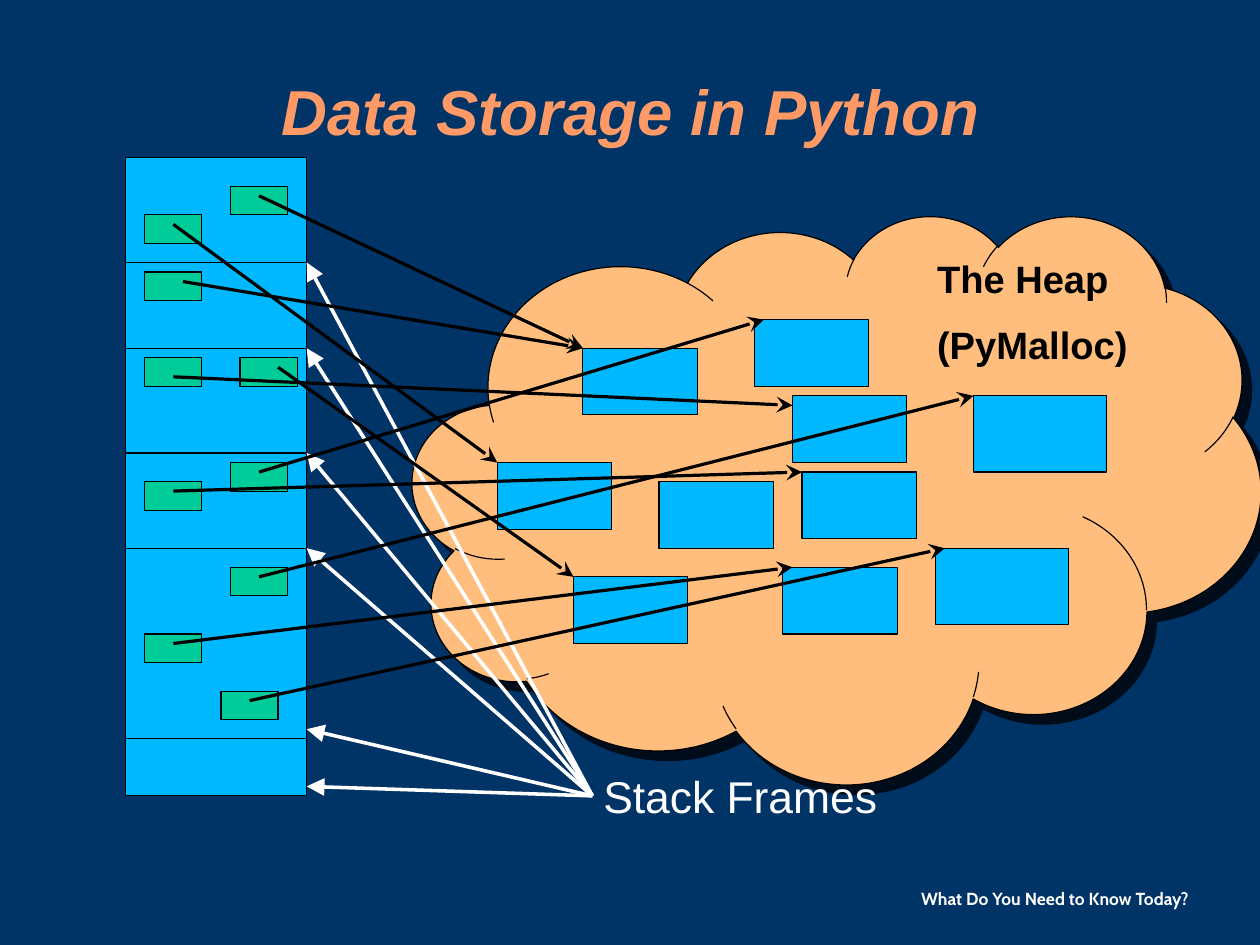
from lxml import etree
from pptx import Presentation
from pptx.dml.color import RGBColor
from pptx.enum.shapes import MSO_CONNECTOR, MSO_SHAPE
from pptx.enum.text import MSO_ANCHOR, MSO_AUTO_SIZE, PP_ALIGN
from pptx.oxml import parse_xml
from pptx.oxml.ns import nsdecls, qn
from pptx.util import Cm, Inches, Pt

NAVY = RGBColor(0x00, 0x33, 0x66)
ORANGE = RGBColor(0xFF, 0x99, 0x66)
PEACH = RGBColor(0xFF, 0xBE, 0x7D)
BLUE = RGBColor(0x00, 0xB8, 0xFF)
GREEN = RGBColor(0x00, 0xCC, 0x99)
BLACK = RGBColor(0x00, 0x00, 0x00)
WHITE = RGBColor(0xFF, 0xFF, 0xFF)

LEFT, TOP = Inches(1.1), Inches(1.38)
CELL = Inches(1) / 12
STACK_W, STACK_H = 19, 67

prs = Presentation()
prs.slide_width, prs.slide_height = Cm(28), Cm(21)
s = prs.slides.add_slide(prs.slide_layouts[6])
s.background.fill.solid()
s.background.fill.fore_color.rgb = NAVY


def add_text(text, x, y, w, h, size, color, font="Arial", bold=False, italic=False,
             align=PP_ALIGN.LEFT, spacing=0.93, before=0, anchor=MSO_ANCHOR.TOP):
    tf = s.shapes.add_textbox(Inches(x), Inches(y), Inches(w), Inches(h)).text_frame
    tf.word_wrap = True
    tf.auto_size = MSO_AUTO_SIZE.NONE
    tf.vertical_anchor = anchor
    for i, line in enumerate(text.split("\n")):
        p = tf.paragraphs[0] if i == 0 else tf.add_paragraph()
        p.alignment, p.line_spacing, p.space_before = align, spacing, Pt(before)
        r = p.add_run()
        r.text = line
        r.font.name, r.font.size, r.font.color.rgb = font, Pt(size), color
        r.font.bold, r.font.italic = bold, italic


def add_line(start, end, color, width, head=None):
    (x1, y1), (x2, y2) = [(int(LEFT + x * CELL), int(TOP + y * CELL)) for x, y in (start, end)]
    sp = s.shapes.add_connector(MSO_CONNECTOR.STRAIGHT, x1, y1, x2, y2)
    sp.line.color.rgb, sp.line.width = color, Pt(width)
    props = sp.element.spPr
    if head:
        etree.SubElement(props.find(qn("a:ln")), qn("a:tailEnd"), type=head, w="lg", len="lg")
    etree.SubElement(props, qn("a:effectLst"))


add_text("What Do You Need to Know Today?", 7.18, 7.69, 3.32, 0.31, 11, WHITE,
         font="Cabin", bold=True, align=PP_ALIGN.RIGHT, spacing=1.15)
add_text("Data Storage in Python", 0.81, 0.31, 9.41, 1.38, 40, ORANGE, bold=True,
         italic=True, align=PP_ALIGN.CENTER, anchor=MSO_ANCHOR.MIDDLE)

cloud = s.shapes.add_shape(MSO_SHAPE.CLOUD, Inches(3.61), Inches(1.88), Inches(7.42), Inches(4.97))
cloud.fill.solid()
cloud.fill.fore_color.rgb = PEACH
cloud.line.color.rgb, cloud.line.width = BLACK, Pt(0.75)
cloud.element.spPr.append(parse_xml(
    f'<a:effectLst {nsdecls("a")}><a:outerShdw dist="{Pt(8.5)}" dir="2700000" algn="ctr" '
    'rotWithShape="0"><a:srgbClr val="000000"><a:alpha val="75000"/></a:srgbClr>'
    '</a:outerShdw></a:effectLst>'))
add_text("The Heap\n(PyMalloc)", 8.1, 2.22, 2.5, 1.06, 24, BLACK, bold=True, before=15)

objects = [(66, 17), (48, 20), (71, 33), (56, 34), (70, 25), (69, 43), (39, 32), (47, 44)]
big_objects = [(89, 25), (85, 41)]
slots = [(11, 3), (2, 6), (2, 12), (12, 21), (2, 21), (11, 32), (11, 43), (2, 50), (10, 56), (2, 34)]
box_groups = [
    (objects, 12, 7, BLUE),
    (big_objects, 14, 8, BLUE),
    ([(0, 0)], STACK_W, STACK_H, BLUE),
    (slots, 6, 3, GREEN),
]
for places, w, h, color in box_groups:
    for x, y in places:
        sp = s.shapes.add_shape(MSO_SHAPE.RECTANGLE, int(LEFT + x * CELL), int(TOP + y * CELL),
                                int(w * CELL), int(h * CELL))
        sp.shadow.inherit = False
        sp.fill.solid()
        sp.fill.fore_color.rgb = color
        sp.line.color.rgb, sp.line.width = BLACK, Pt(0.75)

for y in (11, 20, 31, 41, 61):
    add_line((0, y), (STACK_W, y), BLACK, 0.75)

add_text("Stack Frames", 5.18, 6.72, 3.83, 0.54, 28, WHITE, before=17.5)
for y in (11, 20, 31, 41, 60, 66):
    add_line((49, STACK_H), (STACK_W, y), WHITE, 2.25, "triangle")

references = [
    ((14, 4), (48, 20)), ((5, 7), (39, 32)), ((6, 13), (48, 20)), ((16, 22), (47, 44)),
    ((14, 33), (67, 17)), ((5, 23), (70, 26)), ((14, 44), (89, 25)), ((5, 51), (70, 43)),
    ((13, 57), (86, 41)), ((5, 35), (71, 33)),
]
for slot, target in references:
    add_line(slot, target, BLACK, 2, "stealth")

prs.save("out.pptx")
